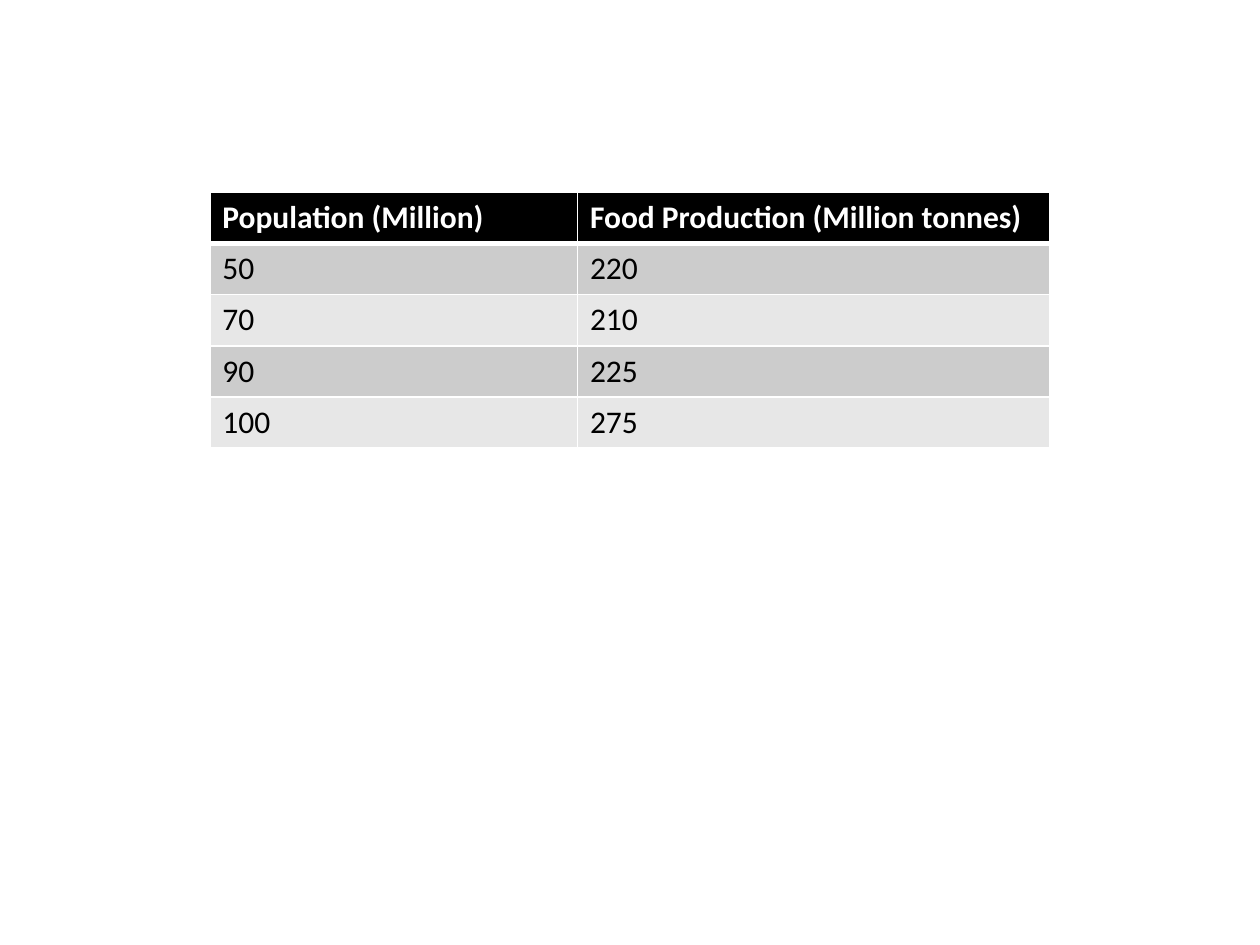
"""Build a slide with a table of population against food production."""
from dataclasses import dataclass

from lxml.etree import SubElement
from pptx import Presentation
from pptx.dml.color import RGBColor
from pptx.oxml.ns import qn
from pptx.util import Cm, Pt


@dataclass(frozen=True)
class Theme:
    font: str = "Calibri"
    text_size: int = 18
    header_fill: str = "000000"
    header_text: str = "FFFFFF"
    body_text: str = "000000"
    bands: tuple = ("CCCCCC", "E7E7E7")
    border: str = "FFFFFF"
    thin: int = 1
    thick: int = 3


def write_text(frame, text, *, font, size, color, bold=False):
    paragraph = frame.paragraphs[0]
    run = paragraph.add_run()
    run.text = text
    run.font.name = font
    run.font.size = Pt(size)
    run.font.bold = bold
    run.font.color.rgb = RGBColor.from_string(color)


class SlideBuilder:
    def __init__(self, theme, slide):
        self.theme = theme
        self.slide = slide

    def border(self, cell, side, width):
        line = SubElement(cell._tc.get_or_add_tcPr(), qn(f"a:ln{side}"), w=str(Pt(width)))
        fill = SubElement(line, qn("a:solidFill"))
        SubElement(fill, qn("a:srgbClr"), val=self.theme.border)

    def cell(self, cell, text, row):
        theme = self.theme
        is_header = row == 0
        widths = {
            "L": theme.thin,
            "R": theme.thin,
            "T": theme.thick if row == 1 else theme.thin,
            "B": theme.thick if is_header else theme.thin,
        }
        for side, width in widths.items():
            self.border(cell, side, width)
        fill = theme.header_fill if is_header else theme.bands[(row - 1) % 2]
        cell.fill.solid()
        cell.fill.fore_color.rgb = RGBColor.from_string(fill)
        write_text(
            cell.text_frame,
            text,
            font=theme.font,
            size=theme.text_size,
            color=theme.header_text if is_header else theme.body_text,
            bold=is_header,
        )

    def table(self, records, left, top, column_widths, row_height):
        table = self.slide.shapes.add_table(
            len(records), len(column_widths), left, top,
            sum(column_widths), row_height * len(records),
        ).table
        for column, width in zip(table.columns, column_widths):
            column.width = width
        for row, record in enumerate(records):
            for column, text in enumerate(record):
                self.cell(table.cell(row, column), text, row)


def main():
    deck = Presentation()
    deck.slide_width, deck.slide_height = Cm(25.4), Cm(19.05)
    builder = SlideBuilder(Theme(), deck.slides.add_slide(deck.slide_layouts[6]))
    food_production = [
        ("Population (Million)", "Food Production (Million tonnes)"),
        ("50", "220"),
        ("70", "210"),
        ("90", "225"),
        ("100", "275"),
    ]
    builder.table(food_production, Cm(4.23), Cm(3.88), (Cm(7.41), Cm(9.53)), Cm(1.03))
    deck.save("out.pptx")


if __name__ == "__main__":
    main()
